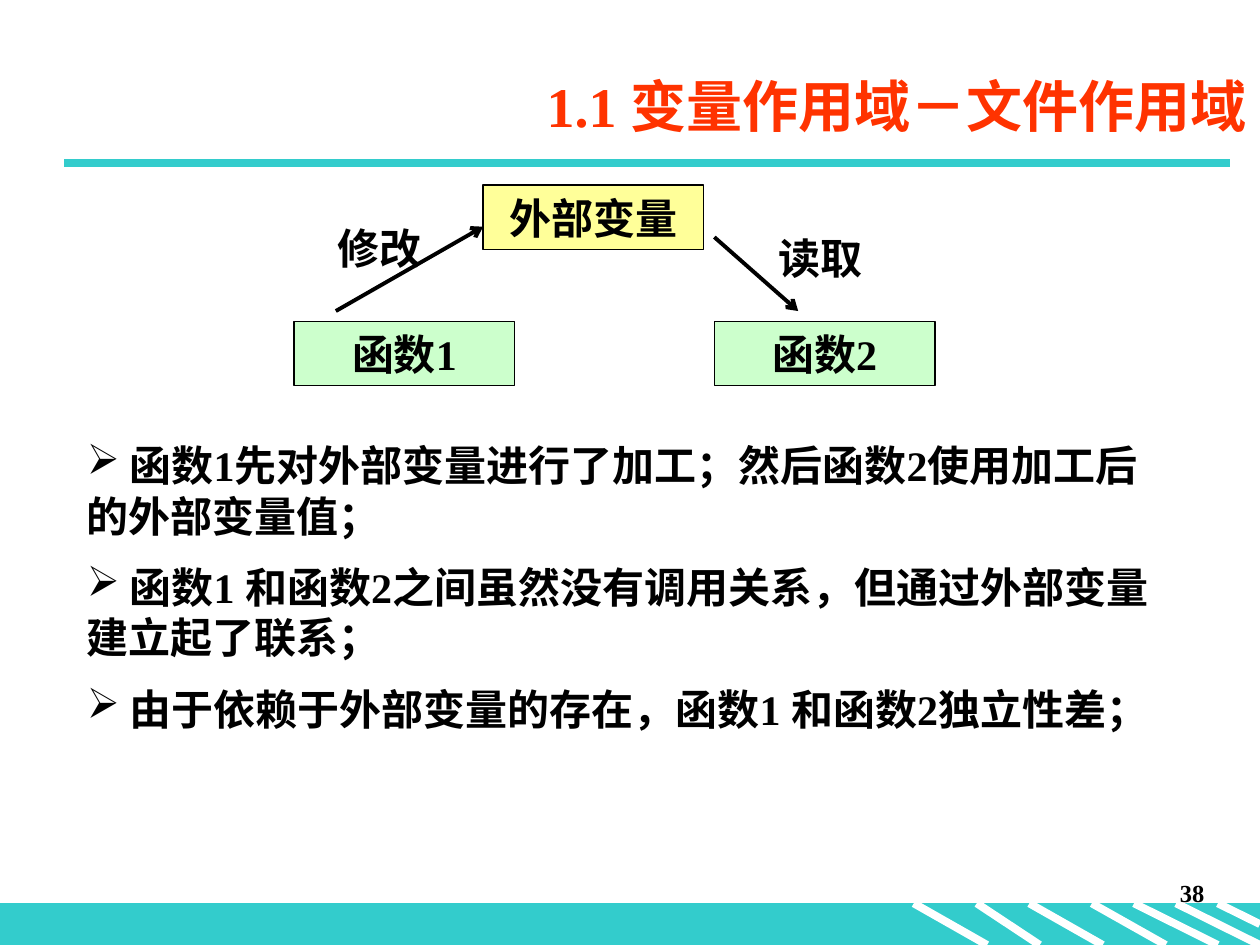
from dataclasses import dataclass

from lxml import etree
from pptx import Presentation
from pptx.dml.color import RGBColor
from pptx.enum import shapes, text
from pptx.oxml import ns
from pptx.util import Cm, Pt


@dataclass(frozen=True)
class Theme:
    font: str = "Times New Roman"
    teal: str = "33CCCC"
    red: str = "FF3300"
    green: str = "CCFFCC"
    yellow: str = "FFFF99"
    black: str = "000000"
    white: str = "FFFFFF"
    title: int = 32
    body: int = 24
    number: int = 14
    gap: int = 12
    thick: float = 4.5
    arrow: float = 2.25
    thin: float = 0.75


THEME = Theme()
PAGE_W, PAGE_H = 25.4, 19.05
BAND_TOP = 18.21
NODE_W, NODE_H = 4.45, 1.3

# Left end, right end and lower end of each white stripe
STRIPES = [
    (18.42, 19.9, PAGE_H), (19.69, 20.96, PAGE_H), (20.75, 22.23, PAGE_H),
    (22.01, 23.5, PAGE_H), (22.86, 24.55, PAGE_H), (23.71, PAGE_W, PAGE_H),
    (24.55, PAGE_W, 18.63),
]
NODES = [
    ("函数1", 5.93, 6.48, THEME.green),
    ("函数2", 14.4, 6.48, THEME.green),
    ("外部变量", 9.74, 3.73, THEME.yellow),
]
ARROWS = [(6.77, 6.27, 9.74, 4.57), (14.4, 4.78, 16.09, 6.27)]
LABELS = [("修改", 6.56, 4.37), ("读取", 15.45, 4.57)]
POINTS = [
    " 函数1先对外部变量进行了加工；然后函数2使用加工后的外部变量值；",
    " 函数1 和函数2之间虽然没有调用关系，但通过外部变量建立起了联系；",
    " 由于依赖于外部变量的存在，函数1 和函数2独立性差；",
]


def rgb(color):
    return RGBColor.from_string(color)


def style(para, size, color=THEME.black, align=text.PP_ALIGN.LEFT):
    para.alignment = align
    font = para.font
    font.name, font.size, font.bold = THEME.font, Pt(size), True
    font.color.rgb = rgb(color)


def add_bullet(para):
    props = para._p.get_or_add_pPr()
    props.set("marL", "0")
    props.set("indent", "0")
    etree.SubElement(props, ns.qn("a:buChar")).set("char", "➢")


def add_text(page, lines, left, top, width, height, size=THEME.body,
             align=text.PP_ALIGN.LEFT, bullets=False):
    box = page.shapes.add_textbox(Cm(left), Cm(top), Cm(width), Cm(height))
    frame = box.text_frame
    frame.word_wrap = True
    for index, line in enumerate(lines):
        para = frame.add_paragraph() if index else frame.paragraphs[0]
        para.text = line
        if index:
            para.space_before = Pt(THEME.gap)
        if bullets:
            add_bullet(para)
        style(para, size, align=align)


def add_rect(page, left, top, width, height, fill, outline):
    rect = page.shapes.add_shape(shapes.MSO_SHAPE.RECTANGLE, Cm(left), Cm(top),
                                 Cm(width), Cm(height))
    rect.shadow.inherit = False
    rect.fill.solid()
    rect.fill.fore_color.rgb = rgb(fill)
    rect.line.color.rgb = rgb(outline)
    rect.line.width = Pt(THEME.thin)
    return rect


def add_node(page, label, left, top, fill):
    node = add_rect(page, left, top, NODE_W, NODE_H, fill, THEME.black)
    node.text_frame.vertical_anchor = text.MSO_ANCHOR.MIDDLE
    para = node.text_frame.paragraphs[0]
    para.text = label
    style(para, THEME.body, align=text.PP_ALIGN.CENTER)


def add_line(page, x1, y1, x2, y2, color, width, arrow=False):
    line = page.shapes.add_connector(shapes.MSO_CONNECTOR.STRAIGHT,
                                     Cm(x1), Cm(y1), Cm(x2), Cm(y2))
    line.line.color.rgb = rgb(color)
    line.line.width = Pt(width)
    if arrow:
        outline = line.line._get_or_add_ln()
        etree.SubElement(outline, ns.qn("a:tailEnd")).set("type", "arrow")
    etree.SubElement(line._element.spPr, ns.qn("a:effectLst"))


def set_title(page, wording):
    title = page.shapes.title
    title.left, title.top = Cm(3.81), Cm(1.12)
    title.width, title.height = Cm(21.59), Cm(2.01)
    frame = title.text_frame
    frame.vertical_anchor = text.MSO_ANCHOR.MIDDLE
    frame.auto_size = text.MSO_AUTO_SIZE.NONE
    para = frame.paragraphs[0]
    para.text = wording
    style(para, THEME.title, THEME.red, text.PP_ALIGN.RIGHT)


def main():
    deck = Presentation()
    deck.slide_width, deck.slide_height = Cm(PAGE_W), Cm(PAGE_H)
    page = deck.slides.add_slide(deck.slide_layouts[5])

    # Footer band with slanted stripes, and page number
    add_rect(page, 0, BAND_TOP, PAGE_W, PAGE_H - BAND_TOP, THEME.teal, THEME.teal)
    for left, right, bottom in STRIPES:
        add_line(page, left, BAND_TOP, right, bottom, THEME.white, THEME.thick)
    add_text(page, ["38"], 19.25, 17.58, 5.28, 1.27, THEME.number,
             text.PP_ALIGN.RIGHT)

    # Title and rule
    set_title(page, "1.1 变量作用域－文件作用域")
    add_line(page, 1.3, 3.28, 24.79, 3.28, THEME.teal, THEME.thick)

    # Diagram of the shared variable
    for node in NODES:
        add_node(page, *node)
    for ends in ARROWS:
        add_line(page, *ends, THEME.black, THEME.arrow, arrow=True)
    for label, left, top in LABELS:
        add_text(page, [label], left, top, 3.18, 1.27)

    # Explanation
    add_text(page, POINTS, 1.5, 8.74, 22.2, 6.35, bullets=True)

    deck.save("out.pptx")


if __name__ == "__main__":
    main()
